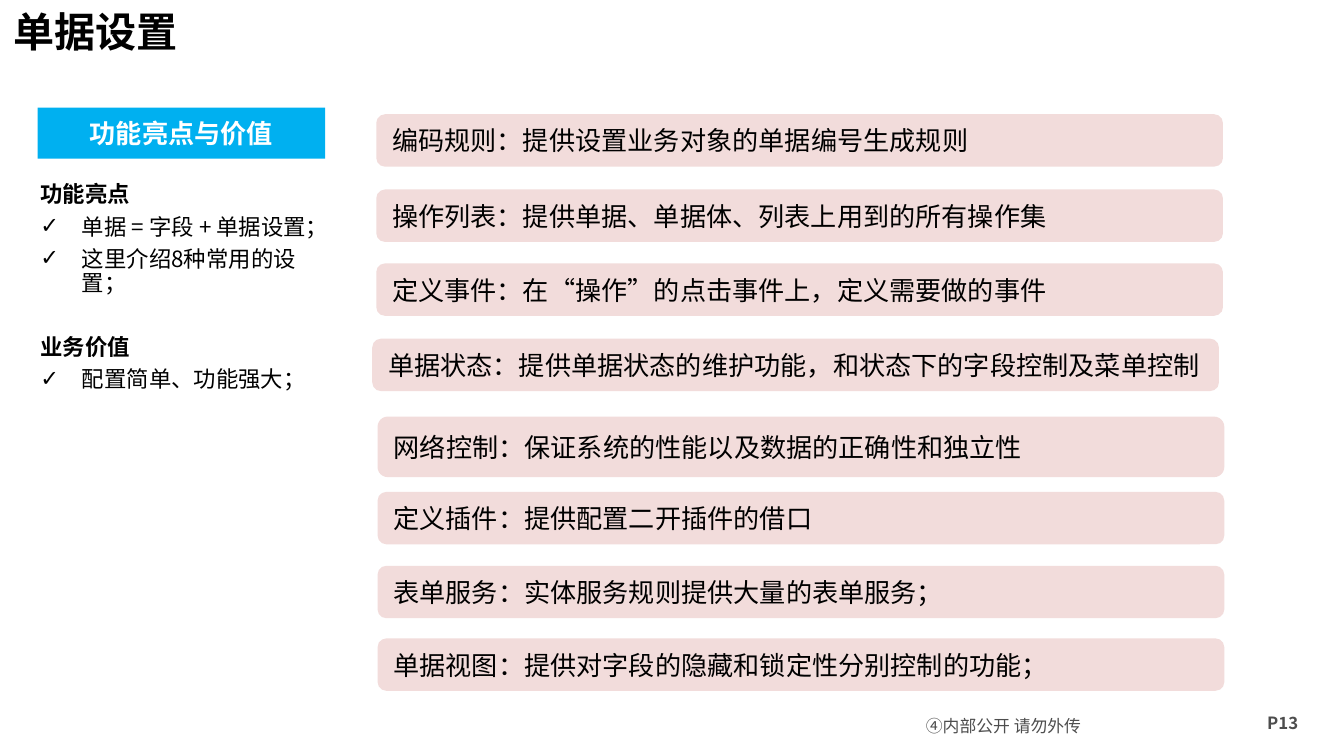
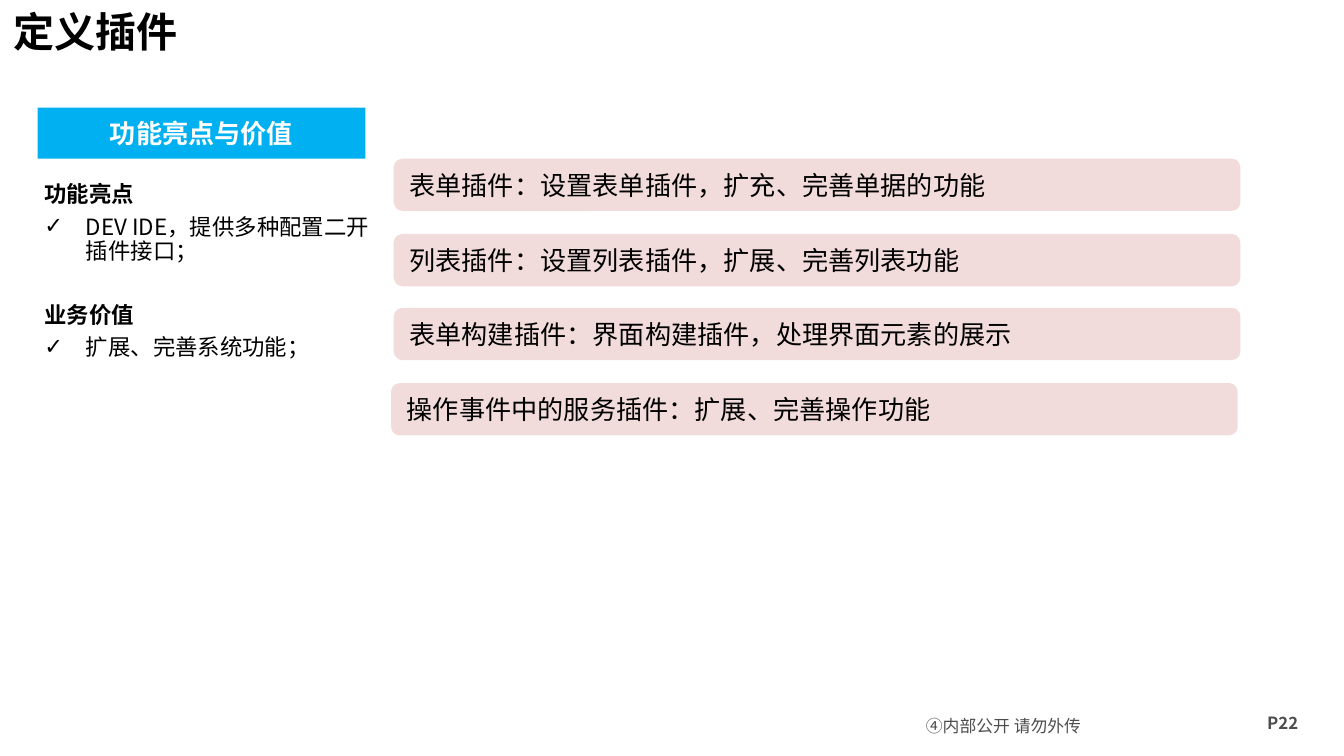
"""Build two slides that present the bill settings and the plug-in types."""
from lxml import etree
from pptx import Presentation
from pptx import util as u
from pptx.dml.color import RGBColor
from pptx.enum import shapes, text
from pptx.oxml.ns import qn

SANS, LATIN = "Noto Sans CJK SC", "Calibri"
BLACK, WHITE, GREY, BLUE, PINK = "000000", "FFFFFF", "4D4D4D", "00B0F0", "F2DCDB"
HEADER = "功能亮点与价值"
FOOTER = "④内部公开 请勿外传"
BAND_W, BAND_H = 6.3, 0.39

SLIDES = [
    {
        "title": "单据设置",
        "page": "P13",
        "header_w": 2.14,
        "list_box": (0.2, 1.31, 2.2, 1.91),
        "points": [
            ("功能亮点", ["单据 = 字段 + 单据设置；", "这里介绍8种常用的设置；"]),
            ("业务价值", ["配置简单、功能强大；"]),
        ],
        "bands": [
            (2.8, 0.85, BAND_H, [("编码规则：提供", SANS), ("设置业务对象的单据编号生成规则", LATIN)]),
            (2.8, 1.41, BAND_H, [("操作列表：提供单据、单据体、列表上用到的所有操作集", LATIN)]),
            (2.8, 1.96, BAND_H, [("定义事件：在“操作”的点击事件上，定义需要做的事件", LATIN)]),
            (2.81, 3.1, 0.45, [("网络控制：保证系统的性能以及数据的正确性和独立性", LATIN)]),
            (2.81, 3.66, BAND_H, [("定义插件：提供配置二开插件的借口", LATIN)]),
            (2.81, 4.21, BAND_H, [("表单服务：实体服务规则提供大量的表单服务；", LATIN)]),
            (2.81, 4.75, BAND_H, [("单据视图：提供对字段的隐藏和锁定性分别控制的功能；", LATIN)]),
            (2.77, 2.52, BAND_H, [("单据状态：提供单据状态的维护功能，和状态下的字段控制及菜单控制", LATIN)]),
        ],
    },
    {
        "title": "定义插件",
        "page": "P22",
        "header_w": 2.44,
        "list_box": (0.23, 1.31, 2.65, 2.45),
        "points": [
            ("功能亮点", ["DEV IDE，提供多种配置二开插件接口；"]),
            ("业务价值", ["扩展、完善系统功能；"]),
        ],
        "bands": [
            (2.93, 1.18, BAND_H, [("表单插件：设置表单插件，扩充、完善单据的功能", LATIN)]),
            (2.93, 1.74, BAND_H, [("列表插件：设置列表插件，扩展、完善列表功能", LATIN)]),
            (2.93, 2.29, BAND_H, [("表单构建插件：界面构建插件，处理界面元素的展示", LATIN)]),
            (2.91, 2.85, BAND_H, [("操作事件中的服务插件：扩展、完善操作功能", LATIN)]),
        ],
    },
]


def rgb(value):
    return RGBColor.from_string(value)


def add_run(p, words, size, color=BLACK, bold=False, font=SANS):
    r = p.add_run()
    r.text = words
    r.font.size, r.font.bold, r.font.name = u.Pt(size), bold, font
    r.font.color.rgb = rgb(color)
    ea = etree.Element(qn("a:ea"), typeface=SANS)
    r.font._element.find(qn("a:latin")).addnext(ea)


def place(sp, box):
    sp.left, sp.top, sp.width, sp.height = map(u.Inches, box)


def set_frame(sp, anchor=text.MSO_ANCHOR.TOP):
    tf = sp.text_frame
    tf.word_wrap, tf.auto_size = True, text.MSO_AUTO_SIZE.NONE
    tf.vertical_anchor = anchor
    return tf


def add_block(s, kind, box, fill, align, runs):
    sp = s.shapes.add_shape(kind, *map(u.Inches, box))
    sp.shadow.inherit = False
    sp.fill.solid()
    sp.fill.fore_color.rgb = rgb(fill)
    sp.line.fill.background()
    p = set_frame(sp, text.MSO_ANCHOR.MIDDLE).paragraphs[0]
    p.alignment = align
    for run in runs:
        add_run(p, **run)


def add_title(s, words):
    place(s.shapes.title, (0, 0, 7.32, 0.63))
    p = set_frame(s.shapes.title).paragraphs[0]
    p.alignment, p.line_spacing = text.PP_ALIGN.LEFT, u.Pt(26)
    add_run(p, words, 22, bold=True)


def add_points(s, box, points):
    sp = s.placeholders[1]
    place(sp, box)
    tf = set_frame(sp)
    lines = [(words, i == 0, i == 0 and group > 0)
             for group, (heading, items) in enumerate(points)
             for i, words in enumerate([heading, *items])]
    for n, (words, heading, gap) in enumerate(lines):
        p = tf.paragraphs[0] if n == 0 else tf.add_paragraph()
        pPr = p._p.get_or_add_pPr()
        indent = 0 if heading else u.Inches(0.31)
        pPr.set("marL", str(indent))
        pPr.set("indent", str(-indent))
        if heading:
            etree.SubElement(pPr, qn("a:buNone"))
        else:
            etree.SubElement(pPr, qn("a:buChar"), char="✓")
        p.line_spacing, p.space_after = u.Pt(13.2), u.Pt(4)
        p.space_before = u.Pt(17 if gap else 0)
        add_run(p, words, 12, bold=heading)


def add_footer(s, page):
    sp = s.shapes.add_textbox(*map(u.Inches, (6.81, 5.27, 1.77, 0.27)))
    tf = set_frame(sp)
    tf.margin_left = tf.margin_right = u.Inches(0.08)
    tf.margin_top = tf.margin_bottom = u.Inches(0.01)
    p = tf.paragraphs[0]
    p.alignment, p.line_spacing = text.PP_ALIGN.JUSTIFY, u.Pt(14)
    add_run(p, FOOTER, 9, GREY)
    sp = s.shapes.add_textbox(*map(u.Inches, (9.33, 5.25, 0.56, 0.25)))
    add_run(set_frame(sp).paragraphs[0], page, 9, GREY, True)


def build_slide(prs, data):
    s = prs.slides.add_slide(prs.slide_layouts[1])
    add_footer(s, data["page"])
    add_title(s, data["title"])
    add_block(s, shapes.MSO_SHAPE.RECTANGLE, (0.28, 0.8, data["header_w"], 0.38), BLUE,
              text.PP_ALIGN.CENTER, [dict(words=HEADER, size=14, color=WHITE, bold=True)])
    add_points(s, data["list_box"], data["points"])
    for left, top, height, runs in data["bands"]:
        add_block(s, shapes.MSO_SHAPE.ROUNDED_RECTANGLE, (left, top, BAND_W, height), PINK,
                  text.PP_ALIGN.LEFT, [dict(words=w, size=14, font=f) for w, f in runs])


def main():
    prs = Presentation()
    prs.slide_width = u.Inches(10)
    prs.slide_height = prs.slide_width * 9 // 16
    for data in SLIDES:
        build_slide(prs, data)
    prs.save("out.pptx")


if __name__ == "__main__":
    main()
